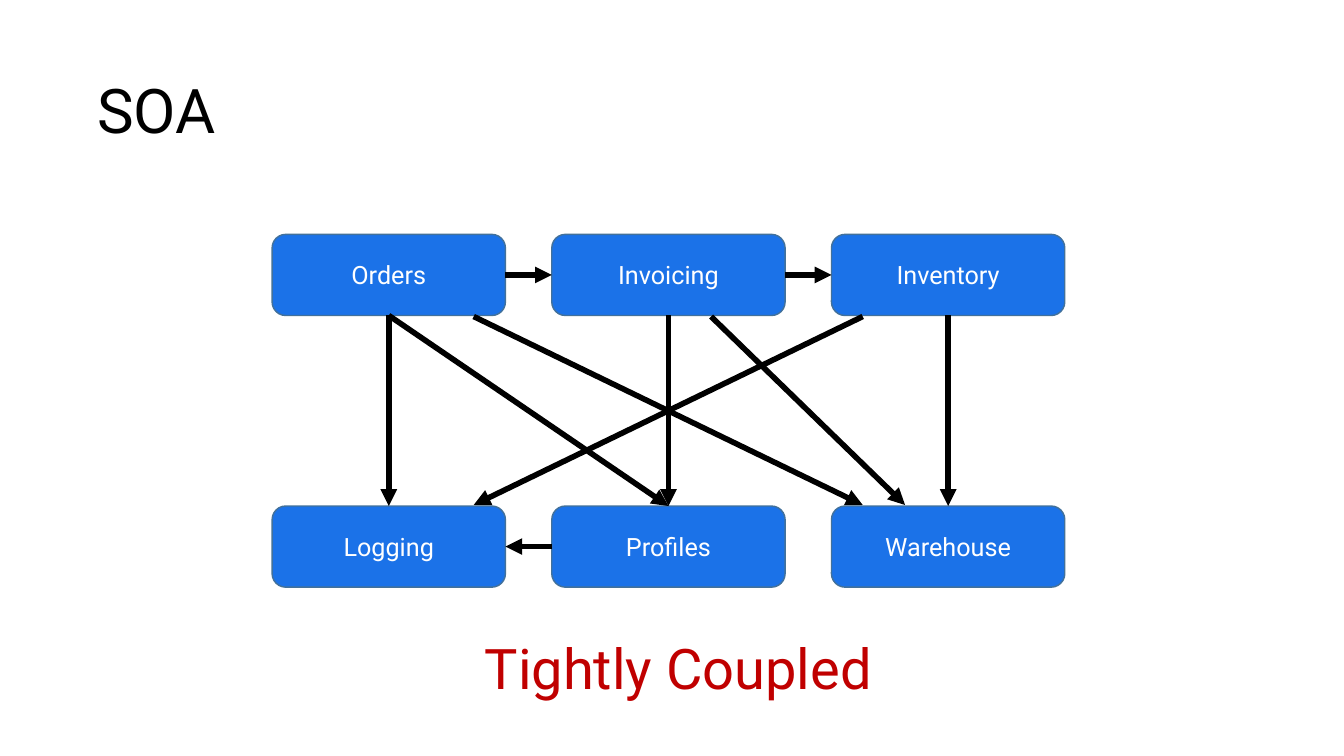
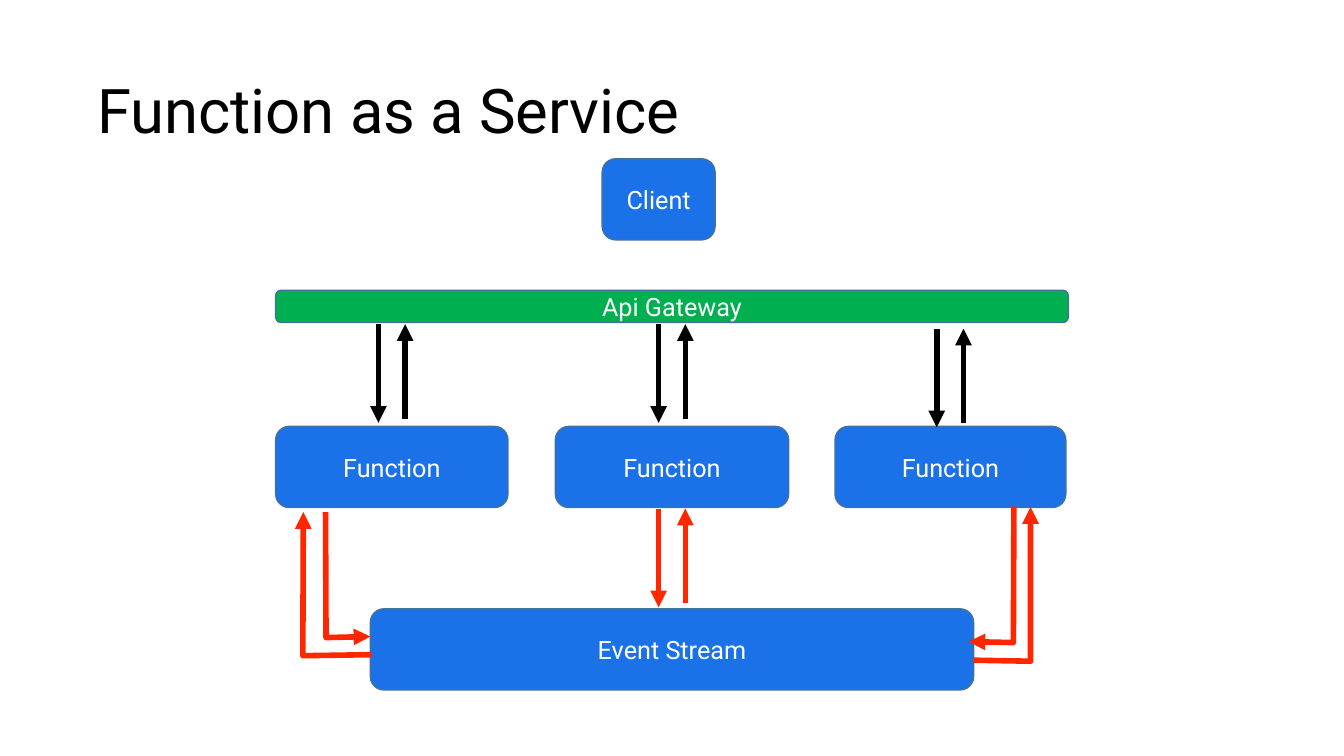
from collections import namedtuple
from lxml.etree import SubElement
from pptx import Presentation
from pptx.dml.color import RGBColor
from pptx.enum.shapes import MSO_CONNECTOR as Conn, MSO_SHAPE as Shape
from pptx.enum.text import MSO_ANCHOR as Anchor, MSO_AUTO_SIZE as Fit, PP_ALIGN as Align
from pptx.oxml.ns import qn
from pptx.util import Emu, Pt

PX = 9144
BLUE, GREEN, EDGE = "1B72E8", "00B050", "42719B"
BLACK, WHITE, RED, CRIMSON = "000000", "FFFFFF", "FF2600", "C00000"
FONT = "Roboto"
TOP, LEFT, BOTTOM, RIGHT = range(4)
STEP, WIDE, TALL = 555, 463, 161
Box = namedtuple("Box", "x y w h")


def px(*vals):
    """Turn px lengths into EMU."""
    return [Emu(val * PX) for val in vals]


def color(code):
    """Turn a hex string into a colour."""
    return RGBColor.from_string(code)


def write(shape, text, size, code, align=Align.LEFT, inset=10):
    """Set and format one line of text."""
    frame = shape.text_frame
    frame.text = text
    frame.margin_left, frame.margin_right = px(10, 10)
    frame.margin_top, frame.margin_bottom = px(inset, inset)
    para = frame.paragraphs[0]
    para.alignment = align
    font = para.runs[0].font
    font.name, font.size, font.color.rgb = FONT, Pt(size), color(code)
    return frame


def start(deck, text):
    """Add a slide with the shared title."""
    slide = deck.slides.add_slide(deck.slide_layouts[5])
    slide.background.fill.solid()
    slide.background.fill.fore_color.rgb = color(WHITE)
    title = slide.shapes.title
    title.left, title.top, title.width, title.height = px(183, 80, 2300, 290)
    frame = write(title, text, 88, BLACK)
    frame.vertical_anchor, frame.auto_size = Anchor.MIDDLE, Fit.NONE
    frame.paragraphs[0].line_spacing = 0.9
    return slide


def node(slide, box, text, fill=BLUE):
    """Add a rounded box with a centred label."""
    shape = slide.shapes.add_shape(Shape.ROUNDED_RECTANGLE, *px(*box))
    shape.adjustments[0] = 0.167
    shape.shadow.inherit = False
    shape.fill.solid()
    shape.fill.fore_color.rgb = color(fill)
    shape.line.color.rgb, shape.line.width = color(EDGE), Pt(2)
    frame = write(shape, text, 36, WHITE, Align.CENTER, 0)
    frame.vertical_anchor, frame.word_wrap = Anchor.MIDDLE, True
    return shape


def tip(line, code):
    """Style a line as a thick arrow without a shadow."""
    line.line.color.rgb, line.line.width = color(code), Pt(8)
    props = line.element.spPr
    SubElement(props.find(qn("a:ln")), qn("a:tailEnd"), type="triangle")
    SubElement(props, qn("a:effectLst"))


def arrow(slide, ends=(0, 0, 0, 0), code=BLACK):
    """Add a straight arrow."""
    line = slide.shapes.add_connector(Conn.STRAIGHT, *px(*ends))
    tip(line, code)
    return line


def join(slide, tail, side, head, face):
    """Add an arrow joined to the sides of two boxes."""
    line = arrow(slide)
    line.begin_connect(tail, side)
    line.end_connect(head, face)


def bend(slide, x, y, points):
    """Add a bent arrow through points relative to x, y."""
    first, *rest = [(x + dx, y + dy) for dx, dy in points]
    build = slide.shapes.build_freeform(*first, scale=PX)
    build.add_line_segments(rest, close=False)
    shape = build.convert_to_shape()
    shape.fill.background()
    tip(shape, RED)


def pair(slide, x, y, code=BLACK):
    """Add an arrow down and an arrow up beside it."""
    arrow(slide, (x, y, x, y + 196), code)
    arrow(slide, (x + 53, y + 188, x + 53, y), code)


def row(slide, x, y, names, widths=(WIDE,) * 3):
    """Add a row of evenly stepped boxes."""
    return [node(slide, Box(x + i * STEP, y, wide, TALL), name)
            for i, (name, wide) in enumerate(zip(names, widths))]


def mesh(slide, box):
    """Place two rows of services and the calls between them."""
    upper = row(slide, box.x, box.y, ("Orders", "Invoicing", "Inventory"))
    lower = row(slide, box.x, box.y + box.h - TALL,
                ("Logging", "Profiles", "Warehouse"))
    for tail, head in zip(upper, upper[1:]):
        join(slide, tail, RIGHT, head, LEFT)
    join(slide, lower[1], LEFT, lower[0], RIGHT)
    for tail, head in zip(upper, lower):
        join(slide, tail, BOTTOM, head, TOP)
    join(slide, upper[0], BOTTOM, lower[1], TOP)
    for begin, end in ((400, 1172), (871, 1256), (1172, 400)):
        arrow(slide, (box.x + begin, box.y + 163, box.x + end, box.y + 537))


def verdict(slide, box):
    """Place the closing remark."""
    note = slide.shapes.add_textbox(*px(*box))
    frame = write(note, "Tightly Coupled", 80, CRIMSON)
    frame.word_wrap, frame.auto_size = False, Fit.SHAPE_TO_FIT_TEXT


def gateway(slide, box):
    """Place the gateway bar, its functions and their calls."""
    node(slide, box, "Api Gateway", GREEN)
    row(slide, box.x, box.y + 270, ["Function"] * 3, (461, 463, 458))
    for dx, dy in ((204, 67), (760, 67), (1312, 76)):
        pair(slide, box.x + dx, box.y + dy)


def stream(slide, box):
    """Place the event stream and its red arrows."""
    node(slide, box, "Event Stream")
    pair(slide, box.x + 572, box.y - 199, RED)
    bend(slide, box.x, box.y, ((-89, -192), (-88, 57), (0, 55)))
    bend(slide, box.x, box.y, ((2, 91), (-134, 93), (-133, -192)))
    edge = box.x + box.w
    bend(slide, edge, box.y, ((80, -203), (79, 67), (-10, 65)))
    bend(slide, edge, box.y, ((0, 102), (113, 104), (113, -202)))


def main():
    """Build and save both slides."""
    deck = Presentation()
    deck.slide_width, deck.slide_height = px(2667, 1500)
    slide = start(deck, "SOA")
    mesh(slide, Box(540, 465, 1573, 700))
    verdict(slide, Box(952, 1246, 789, 151))
    slide = start(deck, "Function as a Service")
    node(slide, Box(1195, 315, 224, TALL), "Client")
    gateway(slide, Box(547, 576, 1573, 64))
    stream(slide, Box(735, 1208, 1197, TALL))
    deck.save("out.pptx")


if __name__ == "__main__":
    main()
